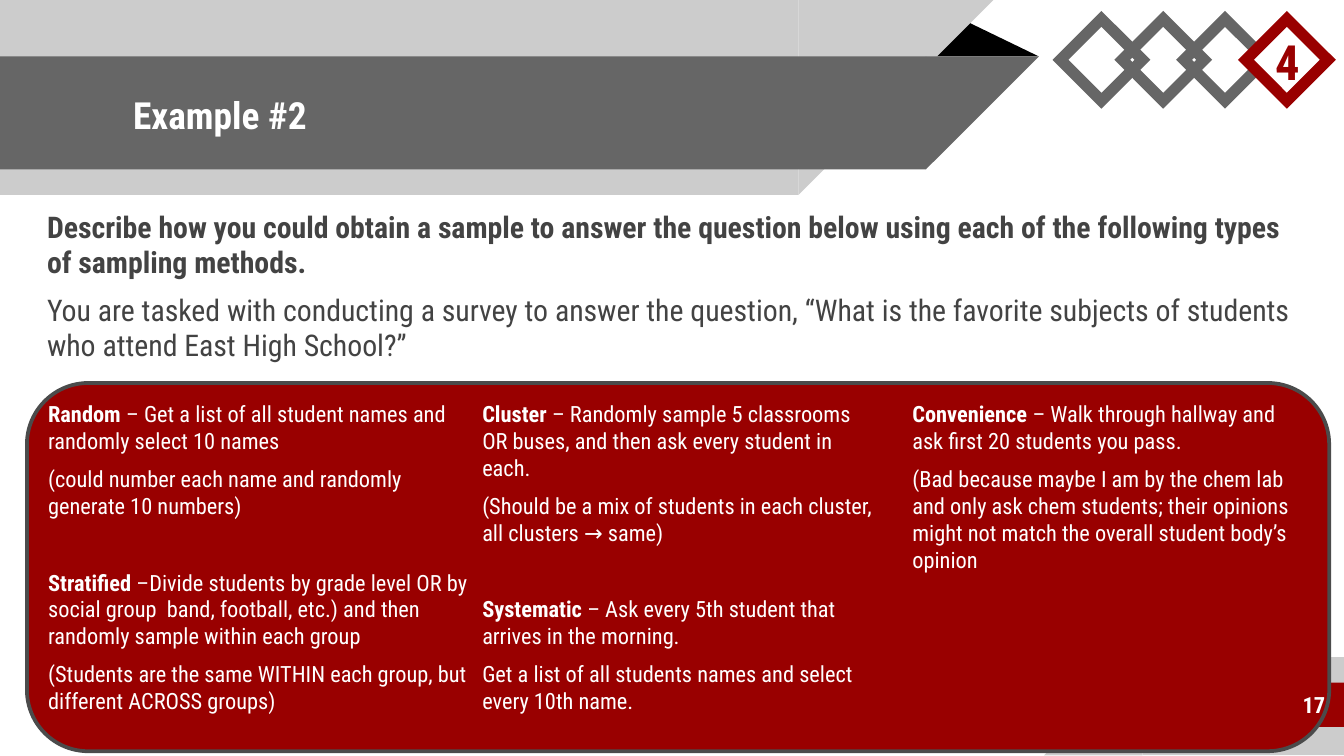
import dataclasses

import pptx
import pptx.dml.color
import pptx.enum.shapes
import pptx.enum.text
import pptx.oxml
import pptx.oxml.ns
import pptx.util

Inches = pptx.util.Inches
Pt = pptx.util.Pt
Preset = pptx.enum.shapes.MSO_SHAPE
Anchor = pptx.enum.text.MSO_ANCHOR
Align = pptx.enum.text.PP_ALIGN


@dataclasses.dataclass(frozen=True)
class Theme:
    """Colours, font and type sizes of the slide."""
    font: str = "Roboto Condensed"
    white: str = "FFFFFF"
    black: str = "000000"
    light: str = "CCCCCC"
    gray: str = "666666"
    ink: str = "434343"
    outline: str = "4B4B4B"
    red: str = "990000"
    title: int = 20
    body: int = 16
    small: int = 12
    section: int = 26
    gap: float = 6
    wide_gap: float = 26.5


THEME = Theme()

PROMPT = [
    ("Describe how you could obtain a sample to answer the question below using "
     "each of the following types of sampling methods.", ""),
    ("", "You are tasked with conducting a survey to answer the question, “What is "
     "the favorite subjects of students who attend East High School?”"),
]

METHOD_COLUMNS = [
    (0.18, 3.46, [
        ("Random", " – Get a list of all student names and randomly select 10 names"),
        ("", "(could number each name and randomly generate 10 numbers)"),
        ("Stratified", " –Divide students by grade level OR by social group  band, "
         "football, etc.) and then randomly sample within each group"),
        ("", "(Students are the same WITHIN each group, but different ACROSS groups)"),
    ]),
    (3.41, 3.21, [
        ("Cluster", " – Randomly sample 5 classrooms OR buses, and then ask every "
         "student in each."),
        ("", "(Should be a mix of students in each cluster, all clusters → same)"),
        ("Systematic", " – Ask every 5th student that arrives in the morning."),
        ("", "Get a list of all students names and select every 10th name."),
    ]),
    (6.61, 3.22, [
        ("Convenience", " – Walk through hallway and ask first 20 students you pass."),
        ("", "(Bad because maybe I am by the chem lab and only ask chem students; their "
         "opinions might not match the overall student body’s opinion"),
    ]),
]


def rgb(code):
    """Turn a hex code into a colour."""
    return pptx.dml.color.RGBColor.from_string(code)


def place(element, left, top, width, height):
    """Set position and size in inches."""
    element.left, element.top = Inches(left), Inches(top)
    element.width, element.height = Inches(width), Inches(height)


def add_preset(slide, preset, box, fill=None, line=None, weight=0, flip=False, rotation=0):
    """Add a flat preset shape with sharp line joins."""
    shape = slide.shapes.add_shape(preset, *map(Inches, box))
    shape.shadow.inherit = False
    shape.rotation = rotation
    if flip:
        shape.element.spPr.xfrm.set("flipH", "1")
    if fill:
        shape.fill.solid()
        shape.fill.fore_color.rgb = rgb(fill)
    else:
        shape.fill.background()
    if line:
        shape.line.color.rgb = rgb(line)
        shape.line.width = Pt(weight)
        outline = shape.element.spPr.find(pptx.oxml.ns.qn("a:ln"))
        outline.append(pptx.oxml.parse_xml(
            f'<a:miter {pptx.oxml.ns.nsdecls("a")} lim="800000"/>'))
    else:
        shape.line.fill.background()
    return shape


def add_banner_band(slide, top, length, height, color):
    """Add a band from the left edge that ends in a slanted tip."""
    add_preset(slide, Preset.RECTANGLE, (0, top, length, height), color,
               flip=True, rotation=180)
    add_preset(slide, Preset.RIGHT_TRIANGLE, (length, top, height, height), color,
               flip=True, rotation=180)


def add_corner(slide):
    """Add the page-number corner at the bottom right."""
    add_preset(slide, Preset.RECTANGLE, (8.5, 4.89, 1.5, 0.73), THEME.light, flip=True)
    add_preset(slide, Preset.RIGHT_TRIANGLE, (7.77, 4.89, 0.73, 0.73), THEME.light, flip=True)
    add_preset(slide, Preset.RECTANGLE, (7.93, 5.08, 2.08, 0.33), THEME.red, flip=True)


def add_banner(slide):
    """Add the title banner with its folded corner."""
    fold = add_preset(slide, Preset.ISOSCELES_TRIANGLE, (6.88, 0.14, 0.85, 0.28), THEME.black)
    fold.adjustments[0] = 0.32
    add_banner_band(slide, 0, 5.94, 1.45, THEME.light)
    add_banner_band(slide, 0.42, 6.89, 0.84, THEME.gray)


def add_section_diamonds(slide):
    """Add the chain of diamonds whose last one marks the section."""
    styles = {1: (THEME.white, THEME.gray), 0: (None, THEME.gray),
              2: (None, THEME.gray), 3: (THEME.white, THEME.red)}
    for step, (fill, line) in styles.items():
        add_preset(slide, Preset.DIAMOND, (7.89 + 0.46 * step, 0.14, 0.61, 0.61),
                   fill, line, 6)


def prepare_frame(frame, anchor):
    """Set wrapping, anchor and equal insets."""
    frame.word_wrap = True
    frame.auto_size = pptx.enum.text.MSO_AUTO_SIZE.NONE
    frame.vertical_anchor = anchor
    frame.margin_left = frame.margin_right = Inches(0.1)
    frame.margin_top = frame.margin_bottom = Inches(0.1)


def style_run(run, size, color, bold):
    """Apply the theme font to a run."""
    run.font.name = THEME.font
    run.font.size = Pt(size)
    run.font.bold = bold
    run.font.color.rgb = rgb(color)


def write_label(holder, text, size, color, align=Align.LEFT, anchor=Anchor.MIDDLE):
    """Write one bold line."""
    frame = holder.text_frame
    prepare_frame(frame, anchor)
    frame.text = text
    frame.paragraphs[0].alignment = align
    style_run(frame.paragraphs[0].runs[0], size, color, True)


def write_entries(holder, entries, size, color, term_gap=THEME.gap):
    """Write unbulleted paragraphs, each a bold term and its plain text."""
    frame = holder.text_frame
    prepare_frame(frame, Anchor.TOP)
    for index, (term, detail) in enumerate(entries):
        paragraph = frame.add_paragraph() if index else frame.paragraphs[0]
        paragraph.alignment = Align.LEFT
        paragraph.space_before = Pt(term_gap if term and index else THEME.gap)
        properties = paragraph._p.get_or_add_pPr()
        properties.set("marL", str(Inches(0.08)))
        properties.set("indent", "0")
        properties.append(pptx.oxml.parse_xml(f'<a:buNone {pptx.oxml.ns.nsdecls("a")}/>'))
        for text, bold in ((term, True), (detail, False)):
            if text:
                run = paragraph.add_run()
                run.text = text
                style_run(run, size, color, bold)


def add_text_area(slide, *box):
    """Add an empty text box, in inches."""
    return slide.shapes.add_textbox(*map(Inches, box))


def main():
    """Build the sampling example slide."""
    deck = pptx.Presentation()
    deck.slide_width, deck.slide_height = Inches(10), Inches(10 * 9 / 16)
    slide = deck.slides.add_slide(deck.slide_layouts[1])
    title, prompt = slide.placeholders

    add_corner(slide)
    add_banner(slide)
    add_preset(slide, Preset.ROUNDED_RECTANGLE, (0.2, 2.85, 9.69, 2.74),
               THEME.red, THEME.outline, 2)

    for placeholder in (title, prompt):
        slide.shapes.element.append(placeholder.element)
    place(title, 0.89, 0.43, 6.01, 0.84)
    write_label(title, "Example #2", THEME.title, THEME.white)
    place(prompt, 0.17, 1.45, 9.65, 3.44)
    write_entries(prompt, PROMPT, THEME.body, THEME.ink)

    page_number = add_text_area(slide, 8.33, 5.07, 1.63, 0.35)
    write_label(page_number, "17", THEME.small, THEME.white, Align.RIGHT)
    add_section_diamonds(slide)
    section_number = add_text_area(slide, 9.39, 0.05, 0.43, 0.72)
    write_label(section_number, "4", THEME.section, THEME.red, anchor=Anchor.BOTTOM)

    for left, width, methods in METHOD_COLUMNS:
        column = add_text_area(slide, left, 2.88, width, 2.54)
        write_entries(column, methods, THEME.small, THEME.white, THEME.wide_gap)

    deck.save("out.pptx")


if __name__ == "__main__":
    main()
